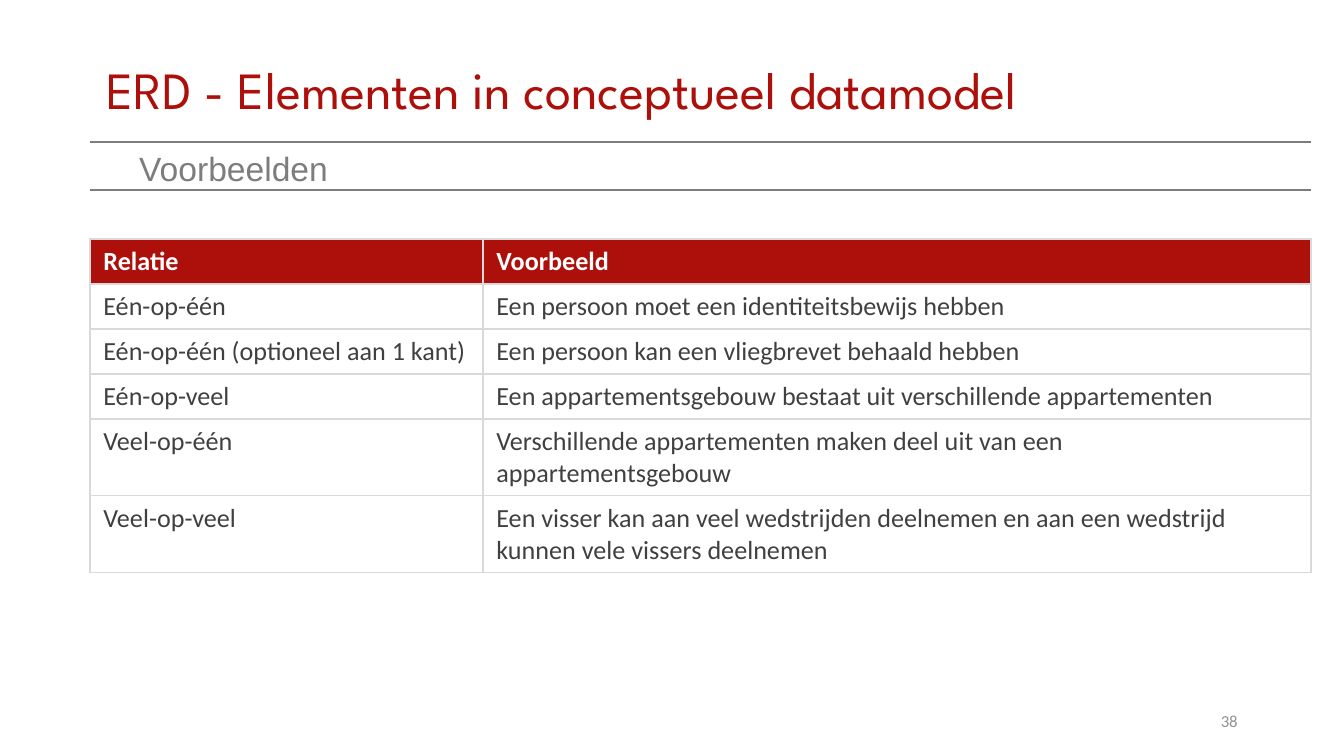
from lxml.etree import SubElement
from pptx import Presentation
from pptx.dml.color import RGBColor
from pptx.enum.shapes import MSO_CONNECTOR as Link
from pptx.enum.text import MSO_ANCHOR as Anchor, PP_ALIGN as Align
from pptx.oxml.ns import qn
from pptx.util import Pt

SCALE = 914400 / 134.4
RED, GREY, DARK, PALE, WHITE = "AD0F0A", "7D7D7D", "404040", "D9D9D9", "FFFFFF"
LEFT, RIGHT = 90, 1311
ROWS = [
    ("Relatie", "Voorbeeld"),
    ("Eén-op-één", "Een persoon moet een identiteitsbewijs hebben"),
    ("Eén-op-één (optioneel aan 1 kant)", "Een persoon kan een vliegbrevet behaald hebben"),
    ("Eén-op-veel", "Een appartementsgebouw bestaat uit verschillende appartementen"),
    ("Veel-op-één", "Verschillende appartementen maken deel uit van een appartementsgebouw"),
    ("Veel-op-veel", "Een visser kan aan veel wedstrijden deelnemen en aan een wedstrijd "
                     "kunnen vele vissers deelnemen"),
]


def px(n):
    return round(n * SCALE)


def paint(color):
    return RGBColor.from_string(color)


class Deck:
    def __init__(self, wide, high):
        self.prs = Presentation()
        self.prs.slide_width, self.prs.slide_height = px(wide), px(high)
        self.slide = self.prs.slides.add_slide(self.prs.slide_layouts[5])

    def style(self, frame, text, size, color, face="Calibri", bold=False, align=Align.LEFT):
        frame.text = text
        par = frame.paragraphs[0]
        par.alignment = align
        font = par.font
        font.size, font.name, font.bold = Pt(size), face, bold
        font.color.rgb = paint(color)
        return par

    def title(self, text, left, top, wide, high):
        box = self.slide.shapes.title
        box.left, box.top, box.width, box.height = map(px, (left, top, wide, high))
        box.text_frame.vertical_anchor = Anchor.MIDDLE
        self.style(box.text_frame, text, 28, RED, "League Spartan").line_spacing = 0.9

    def label(self, text, left, top, wide, high, size, color, **look):
        box = self.slide.shapes.add_textbox(*map(px, (left, top, wide, high)))
        frame = box.text_frame
        frame.word_wrap = True
        frame.vertical_anchor = Anchor.MIDDLE
        self.style(frame, text, size, color, **look)

    def rule(self, y):
        line = self.slide.shapes.add_connector(Link.STRAIGHT, px(LEFT), px(y), px(RIGHT), px(y))
        line.line.color.rgb = paint(GREY)
        line.line.width = Pt(0.75)
        SubElement(line._element.spPr, qn("a:effectLst"))

    def edge(self, cell):
        """Draw a thin pale border on all four sides of a cell."""
        props = cell._tc.get_or_add_tcPr()
        for side in "LRTB":
            line = SubElement(props, qn(f"a:ln{side}"), w=str(Pt(0.75)))
            fill = SubElement(line, qn("a:solidFill"))
            SubElement(fill, qn("a:srgbClr"), val=PALE)

    def table(self, rows, left, top, cols, heights):
        frame = self.slide.shapes.add_table(
            len(rows), len(cols), px(left), px(top), px(sum(cols)), px(sum(heights)))
        grid = frame.table
        grid.horz_banding = False
        for col, wide in zip(grid.columns, cols):
            col.width = px(wide)
        for i, (row, high) in enumerate(zip(rows, heights)):
            grid.rows[i].height = px(high)
            head = i == 0
            for j, text in enumerate(row):
                cell = grid.cell(i, j)
                self.edge(cell)
                if head:
                    cell.fill.solid()
                    cell.fill.fore_color.rgb = paint(RED)
                else:
                    cell.fill.background()
                self.style(cell.text_frame, text, 14, WHITE if head else DARK, bold=head)


def main():
    deck = Deck(1344, 756)
    deck.title("ERD - Elementen in conceptueel datamodel", 93, 60, 1159, 66)
    deck.label("38", 1132, 701, 119, 40, 9, "939393", align=Align.RIGHT)
    deck.label("Voorbeelden", 126, 149, 1154, 38, 18, GREY, face="Arial")
    for y in (142, 190):
        deck.rule(y)
    deck.table(ROWS, LEFT, 239, (393, 828), [45] * 4 + [77] * 2)
    deck.prs.save("out.pptx")


if __name__ == "__main__":
    main()
